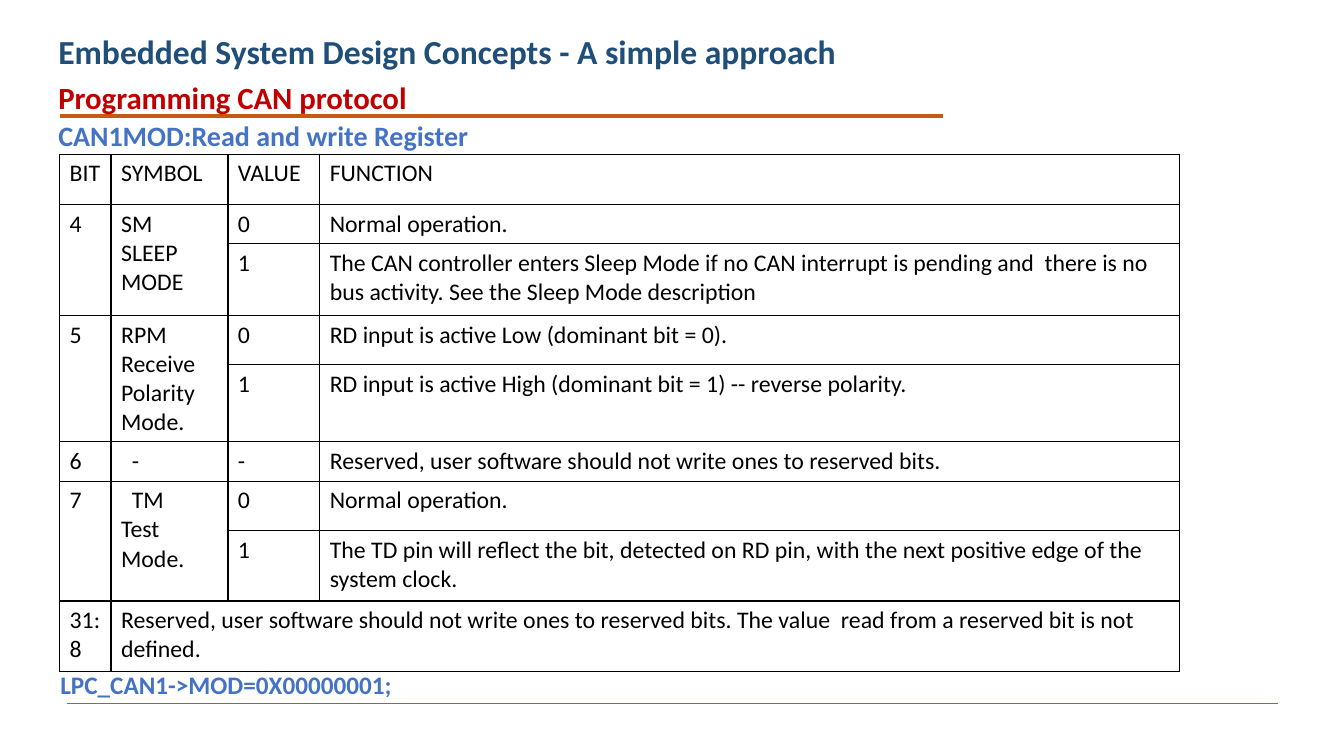
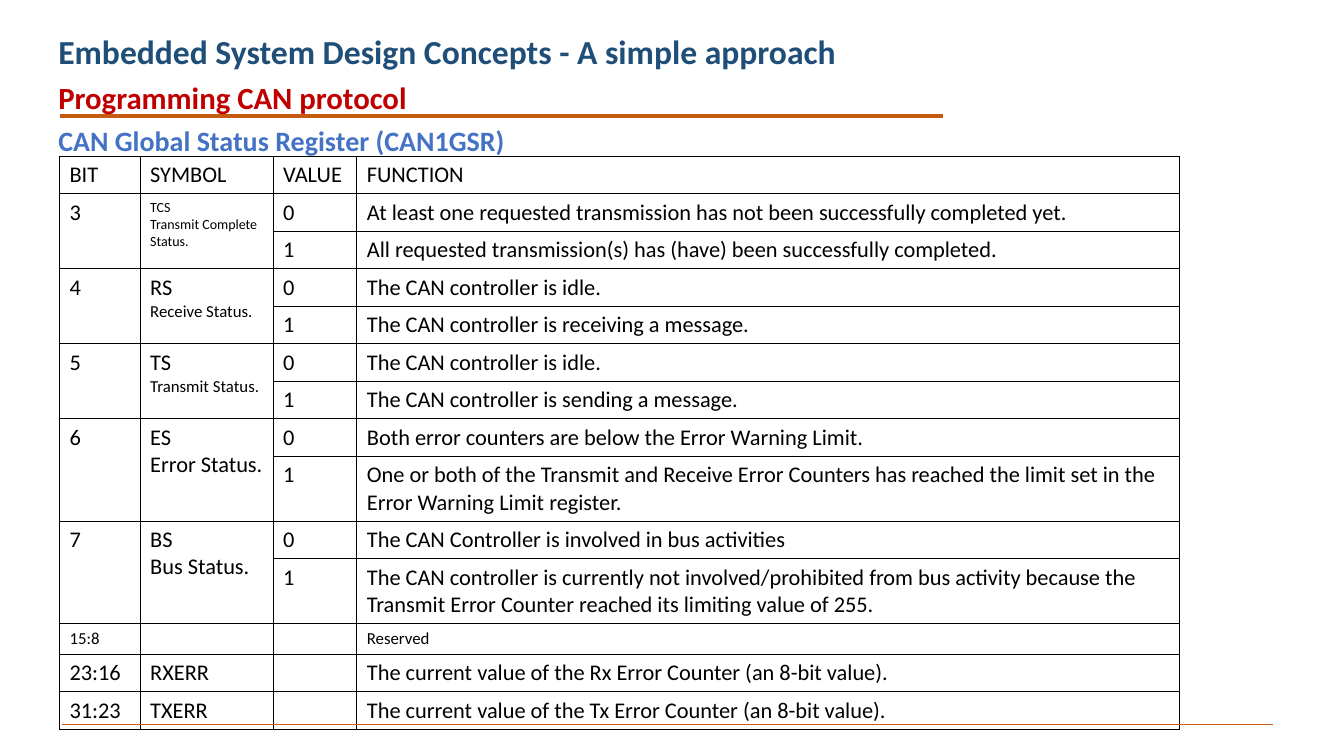
from dataclasses import dataclass

from lxml.etree import SubElement
from pptx import Presentation
from pptx.dml.color import RGBColor
from pptx.enum.shapes import MSO_CONNECTOR as Connector
from pptx.enum.text import MSO_AUTO_SIZE as AutoSize
from pptx.oxml.ns import qn
from pptx.util import Emu, Inches, Pt

# Shared style
WIDTH, HEIGHT = Inches(13.333), Inches(7.5)
FONT = "Calibri"
NAVY, RED, BLUE, ORANGE, BLACK = "1F4E79", "C00000", "4472C4", "C55A11", "000000"
TEXT_LEFT, TABLE_LEFT, TABLE_WIDTH = 3.6, 4.43, 83.33
HEADERS = ["BIT", "SYMBOL", "VALUE", "FUNCTION"]


@dataclass
class Line:
    """A table line with its own size in points or indent in percent."""
    text: str
    size: int = 0
    indent: float = 0


# Register fields: bit, symbol lines, [(value, function), ...]
MODE_FIELDS = [
    ("4", ["SM", "SLEEP", "MODE"], [
        ("0", "Normal operation."),
        ("1", "The CAN controller enters Sleep Mode if no CAN interrupt is pending and  "
              "there is no bus activity. See the Sleep Mode description")]),
    ("5", ["RPM", "Receive Polarity Mode."], [
        ("0", "RD input is active Low (dominant bit = 0)."),
        ("1", "RD input is active High (dominant bit = 1) -- reverse polarity.")]),
    ("6", [Line("-", indent=0.8)], [
        ("-", "Reserved, user software should not write ones to reserved bits.")]),
    ("7", [Line("TM", indent=0.8), "Test Mode."], [
        ("0", "Normal operation."),
        ("1", "The TD pin will reflect the bit, detected on RD pin, with the next "
              "positive edge of the system clock.")]),
    ("31:8", ["Reserved, user software should not write ones to reserved bits. "
              "The value  read from a reserved bit is not defined."], []),
]
STATUS_FIELDS = [
    ("3", [Line("TCS", 10), Line("Transmit Complete Status.", 10)], [
        ("0", "At least one requested transmission has not been successfully completed yet."),
        ("1", "All requested transmission(s) has (have) been successfully completed.")]),
    ("4", ["RS", Line("Receive Status.", 12)], [
        ("0", "The CAN controller is idle."),
        ("1", "The CAN controller is receiving a message.")]),
    ("5", ["TS", Line("Transmit Status.", 12)], [
        ("0", "The CAN controller is idle."),
        ("1", "The CAN controller is sending a message.")]),
    ("6", ["ES", "Error Status."], [
        ("0", "Both error counters are below the Error Warning Limit."),
        ("1", "One or both of the Transmit and Receive Error Counters has reached the "
              "limit set in the Error Warning Limit register.")]),
    ("7", ["BS", "Bus Status."], [
        ("0", "The CAN Controller is involved in bus activities"),
        ("1", "The CAN controller is currently not involved/prohibited from bus activity "
              "because the Transmit Error Counter reached its limiting value of 255.")]),
    (Line("15:8", 12), [Line("", 12)], [(Line("", 12), Line("Reserved", 12))]),
    ("23:16", ["RXERR"], [("", "The current value of the Rx Error Counter (an 8-bit value).")]),
    ("31:23", ["TXERR"], [("", "The current value of the Tx Error Counter (an 8-bit value).")]),
]


# Percent of the slide's width and height
def across(percent):
    return Emu(round(WIDTH * percent / 100))


def down(percent):
    return Emu(round(HEIGHT * percent / 100))


def color(hex_string):
    return RGBColor.from_string(hex_string)


def set_font(paragraph, size, hex_string, bold=False):
    font = paragraph.font
    font.name, font.size, font.bold = FONT, Pt(size), bold
    font.color.rgb = color(hex_string)


def add_text(slide, text, left, top, width, height, size, hex_string):
    shape = slide.shapes.add_textbox(across(left), down(top), across(width), down(height))
    frame = shape.text_frame
    frame.word_wrap = True
    frame.auto_size = AutoSize.SHAPE_TO_FIT_TEXT
    frame.text = text
    set_font(frame.paragraphs[0], size, hex_string, bold=True)


def add_rule(slide, left, right, top, weight):
    rule = slide.shapes.add_connector(
        Connector.STRAIGHT, across(left), down(top), across(right), down(top))
    rule.line.color.rgb = color(ORANGE)
    rule.line.width = Pt(weight)
    SubElement(rule._element.spPr, qn("a:effectLst"))


# Table parts
def style_cell(cell):
    properties = cell._tc.get_or_add_tcPr()
    for side in ("a:lnL", "a:lnR", "a:lnT", "a:lnB"):
        border = SubElement(properties, qn(side), w=str(Pt(1)))
        fill = SubElement(border, qn("a:solidFill"))
        SubElement(fill, qn("a:srgbClr"), val=BLACK)
    cell.fill.background()


def fill_cell(cell, lines, size):
    frame = cell.text_frame
    for index, line in enumerate(lines):
        line = line if isinstance(line, Line) else Line(line)
        paragraph = frame.add_paragraph() if index else frame.paragraphs[0]
        set_font(paragraph, line.size or size, BLACK)
        if line.text:
            paragraph.add_run().text = line.text
        else:
            SubElement(paragraph._p, qn("a:endParaRPr"), sz=str(100 * (line.size or size)))
        if line.indent:
            paragraph._p.get_or_add_pPr().set("marL", str(across(line.indent)))


def add_register_table(slide, fields, top, columns, rows, size):
    columns = columns + [TABLE_WIDTH - sum(columns)]
    table = slide.shapes.add_table(
        len(rows), len(columns), across(TABLE_LEFT), down(top),
        across(TABLE_WIDTH), down(sum(rows))).table
    table.first_row = table.horz_banding = False
    for column, width in zip(table.columns, columns):
        column.width = across(width)
    for row, height in zip(table.rows, rows):
        row.height = down(height)
    for cell in table.iter_cells():
        style_cell(cell)

    for index, header in enumerate(HEADERS):
        fill_cell(table.cell(0, index), [header], size)
    first = 1
    for bit, symbol, values in fields:
        fill_cell(table.cell(first, 0), [bit], size)
        fill_cell(table.cell(first, 1), symbol, size)
        for offset, pair in enumerate(values):
            for index, text in enumerate(pair, start=2):
                fill_cell(table.cell(first + offset, index), [text], size)
        last = first + max(len(values), 1) - 1
        if last > first:
            for index in (0, 1):
                table.cell(first, index).merge(table.cell(last, index))
        if not values:
            table.cell(first, 1).merge(table.cell(first, len(columns) - 1))
        first = last + 1


def add_heading(slide, subtitle, subtitle_top):
    add_text(slide, "Embedded System Design Concepts - A simple approach",
             TEXT_LEFT, 3.47, 61.5, 6.8, 24, NAVY)
    add_rule(slide, TABLE_LEFT, 70.2, 15.33, 3)
    add_text(slide, "Programming CAN protocol", TEXT_LEFT, 9.73, 63.6, 6.27, 22, RED)
    add_text(slide, subtitle, TEXT_LEFT, subtitle_top, 68.2, 5.87, 20, BLUE)


def main():
    presentation = Presentation()
    presentation.slide_width, presentation.slide_height = WIDTH, HEIGHT
    blank = presentation.slide_layouts[6]

    # Mode register
    slide = presentation.slides.add_slide(blank)
    add_register_table(slide, MODE_FIELDS, 20.4, [3.83, 8.7, 6.83],
                       [6.67, 5.07, 9.47, 6.53, 10, 5.07, 6.53, 9.33, 9.33], 17)
    add_text(slide, "LPC_CAN1->MOD=0X00000001;", 3.75, 87.87, 66.3, 5.33, 18, BLUE)
    add_rule(slide, 4.95, 95.1, 93.07, 1)
    add_heading(slide, "CAN1MOD:Read and write Register", 15.07)

    # Global status register
    slide = presentation.slides.add_slide(blank)
    add_register_table(slide, STATUS_FIELDS, 20.67, [6, 9.9, 6.23],
                       [4.95] * 8 + [8.4, 4.95, 8.4, 4] + [4.95] * 2, 16)
    add_rule(slide, 4.58, 94.75, 95.87, 1)
    add_heading(slide, "CAN Global Status Register (CAN1GSR)", 15.73)

    presentation.save("out.pptx")


if __name__ == "__main__":
    main()
